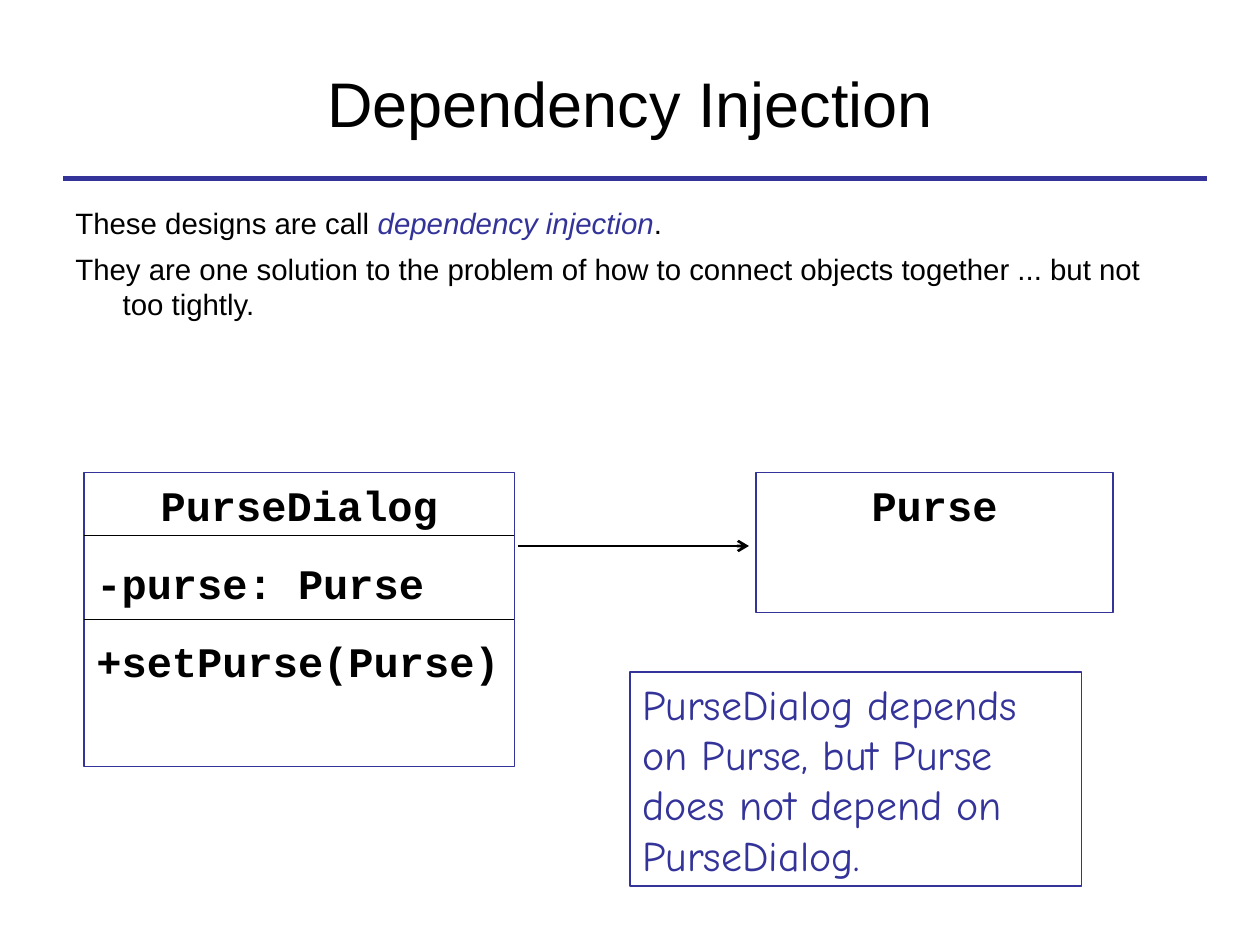
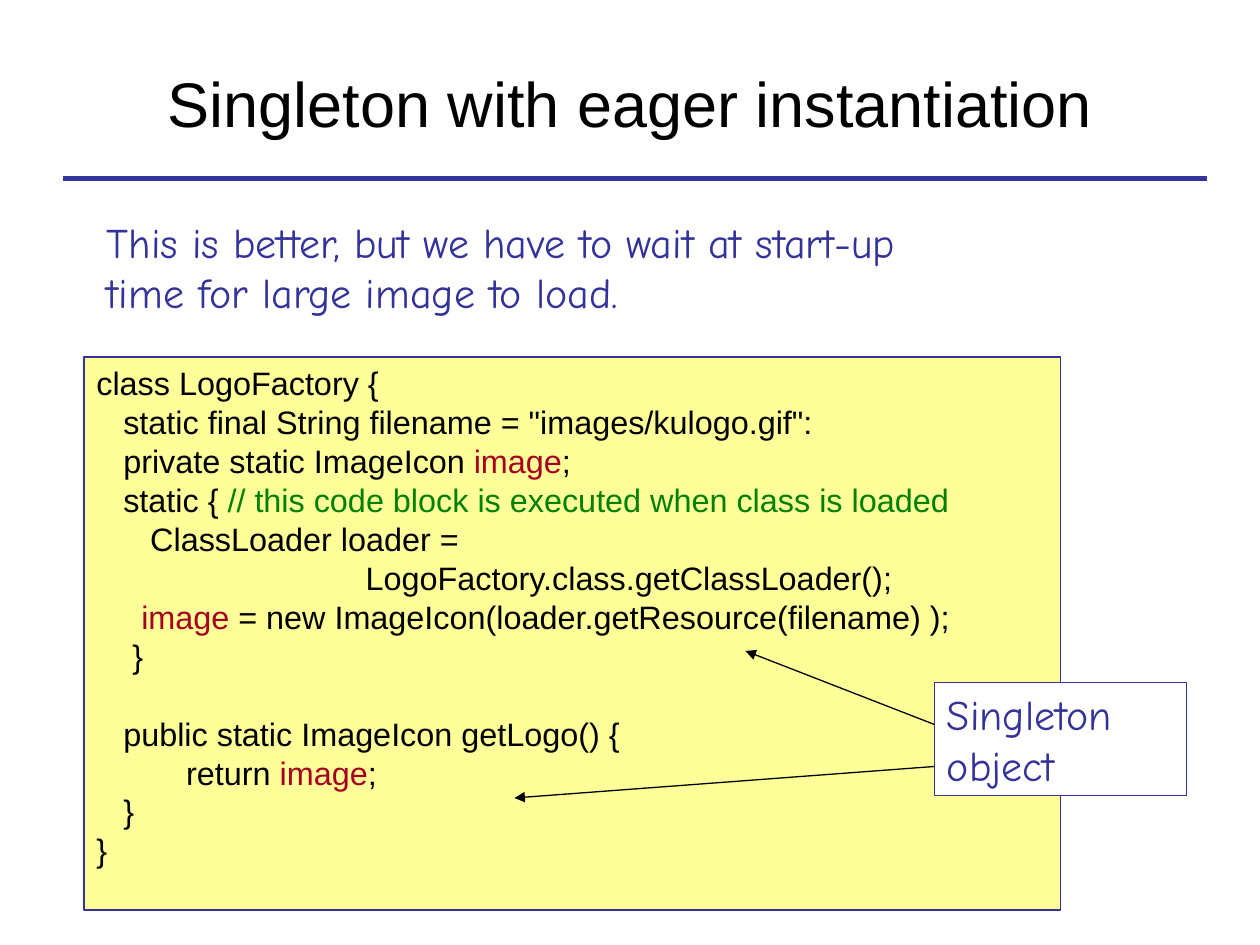
from dataclasses import dataclass

from lxml import etree
from pptx import Presentation
from pptx import util as u
from pptx.dml.color import RGBColor
from pptx.enum import shapes, text
from pptx.oxml.ns import qn

Pt = u.Pt

# Shared look
BLACK, WHITE, INDIGO = "000000", "FFFFFF", "333399"
YELLOW, RED, GREEN = "FFFF99", "A50021", "008000"
SANS, HAND, MONO = "Arial", "Comic Neue", "Courier New"
LEFT, CENTER = text.PP_ALIGN.LEFT, text.PP_ALIGN.CENTER


@dataclass(frozen=True)
class Box:
    left: float
    top: float
    width: float
    height: float
    line: str | None = None
    fill: str | None = None
    middle: bool = False


@dataclass(frozen=True)
class Style:
    font: str
    size: float
    color: str = BLACK
    bold: bool = False
    leading: float | None = None
    gap: float = 0
    hanging: float = 0


@dataclass(frozen=True)
class Run:
    words: str
    color: str | None = None
    italic: bool = False


@dataclass(frozen=True)
class Line:
    runs: tuple[Run, ...]
    align: text.PP_ALIGN = LEFT
    gap: float | None = None


@dataclass(frozen=True)
class Arrow:
    start: tuple[float, float]
    end: tuple[float, float]
    width: float = 0.75
    color: str = BLACK
    head: str | None = None


TITLE = Style(SANS, 36)
BODY = Style(SANS, 16.8, leading=20.1, gap=6, hanging=27)
NOTE = Style(HAND, 24, INDIGO, leading=28.8)
CLASS = Style(MONO, 24, bold=True, leading=29.5, gap=15)
CODE = Style(SANS, 18.5, leading=22.25, hanging=27)
TITLE_BOX = Box(36, 21.6, 648, 74, middle=True)
TITLE_RULE = Arrow((36, 102), (690, 102), 3, INDIGO)


def rgb(color: str) -> RGBColor:
    return RGBColor.from_string(color)


def plain(words: str, align: text.PP_ALIGN = LEFT, gap: float | None = None) -> Line:
    return Line((Run(words),), align, gap)


def write(frame, style: Style, lines: list[Line]) -> None:
    for index, line in enumerate(lines):
        paragraph = frame.paragraphs[0] if index == 0 else frame.add_paragraph()
        paragraph.alignment = line.align
        if style.leading:
            paragraph.line_spacing = Pt(style.leading)
        if index:
            paragraph.space_before = Pt(style.gap if line.gap is None else line.gap)
        if style.hanging:
            properties = paragraph._p.get_or_add_pPr()
            properties.set("marL", str(Pt(style.hanging)))
            properties.set("indent", str(-Pt(style.hanging)))
        for part in line.runs:
            run = paragraph.add_run()
            run.text = part.words
            run.font.name, run.font.size = style.font, Pt(style.size)
            run.font.bold, run.font.italic = style.bold, part.italic
            run.font.color.rgb = rgb(part.color or style.color)


def add_box(slide, box: Box, style: Style, lines: list[Line]):
    place = [Pt(value) for value in (box.left, box.top, box.width, box.height)]
    if box.line:
        shape = slide.shapes.add_shape(shapes.MSO_SHAPE.RECTANGLE, *place)
        shape.shadow.inherit = False
        shape.line.color.rgb, shape.line.width = rgb(box.line), Pt(0.75)
        if box.fill:
            shape.fill.solid()
            shape.fill.fore_color.rgb = rgb(box.fill)
        else:
            shape.fill.background()
    else:
        shape = slide.shapes.add_textbox(*place)
    frame = shape.text_frame
    frame.word_wrap = True
    frame.vertical_anchor = text.MSO_ANCHOR.MIDDLE if box.middle else text.MSO_ANCHOR.TOP
    write(frame, style, lines)
    return shape


def add_line(slide, arrow: Arrow):
    ends = [Pt(value) for value in (*arrow.start, *arrow.end)]
    connector = slide.shapes.add_connector(shapes.MSO_CONNECTOR.STRAIGHT, *ends)
    connector.line.color.rgb, connector.line.width = rgb(arrow.color), Pt(arrow.width)
    if arrow.head:
        outline = connector.line._get_or_add_ln()
        etree.SubElement(outline, qn("a:tailEnd"), type=arrow.head)
    etree.SubElement(connector._element.spPr, qn("a:effectLst"))
    return connector


def add_slide(presentation, title: str):
    slide = presentation.slides.add_slide(presentation.slide_layouts[6])
    add_line(slide, TITLE_RULE)
    add_box(slide, TITLE_BOX, TITLE, [plain(title, CENTER)])
    return slide


def build_dependency_injection(presentation) -> None:
    slide = add_slide(presentation, "Dependency Injection")
    add_box(slide, Box(36, 114, 648, 78), BODY, [
        Line((Run("These designs are call "),
              Run("dependency injection", INDIGO, italic=True), Run("."))),
        plain("They are one solution to the problem of how to connect objects "
              "together ... but not too tightly."),
    ])

    # Class diagram
    dialog = add_box(slide, Box(48, 270, 246, 168, INDIGO), CLASS, [
        plain("PurseDialog", CENTER),
        plain("-purse: Purse"),
        plain("+setPurse(Purse)"),
    ])
    add_box(slide, Box(432, 270, 204, 80, INDIGO), CLASS, [plain("Purse", CENTER)])
    add_line(slide, Arrow((296, 312), (428, 312), 1.5, head="arrow"))
    add_line(slide, Arrow((48, 306), (294, 306)))
    middle_divider = add_line(slide, Arrow((48, 354), (294, 354)))
    middle_divider.begin_connect(dialog, 1)
    middle_divider.end_connect(dialog, 3)

    add_box(slide, Box(360, 384, 258, 122.4, INDIGO), NOTE, [
        plain("PurseDialog depends on Purse, but Purse does not depend on PurseDialog."),
    ])


def build_eager_singleton(presentation) -> None:
    slide = add_slide(presentation, "Singleton with eager instantiation")
    image = Run("image", RED)
    add_box(slide, Box(48, 204, 558, 316, INDIGO, YELLOW), CODE, [
        plain("class LogoFactory {"),
        plain('   static final String filename = "images/kulogo.gif":'),
        Line((Run("   private static ImageIcon "), image, Run(";"))),
        Line((Run("   static { "),
              Run("// this code block is executed when class is loaded", GREEN))),
        plain("      ClassLoader loader ="),
        plain("                              LogoFactory.class.getClassLoader();"),
        Line((Run("     "), image,
              Run(" = new ImageIcon(loader.getResource(filename) );"))),
        plain("    }"),
        plain("   public static ImageIcon getLogo() {", gap=CODE.leading),
        Line((Run("          return "), image, Run(";"))),
        plain("   }"),
        plain("}"),
    ])

    # Callout with arrows to the two uses of the object
    add_box(slide, Box(534, 390, 144, 64.8, INDIGO, WHITE), NOTE,
            [plain("Singleton object")])
    for start, end in (((534, 414), (426, 372)), ((534, 438), (294, 456))):
        add_line(slide, Arrow(start, end, head="triangle"))

    add_box(slide, Box(54, 120, 510, 64.8), NOTE, [
        plain("This is better, but we have to wait at start-up time for large "
              "image to load."),
    ])


def main() -> None:
    presentation = Presentation()
    presentation.slide_width, presentation.slide_height = Pt(720), Pt(540)
    build_dependency_injection(presentation)
    build_eager_singleton(presentation)
    presentation.save("out.pptx")


if __name__ == "__main__":
    main()
